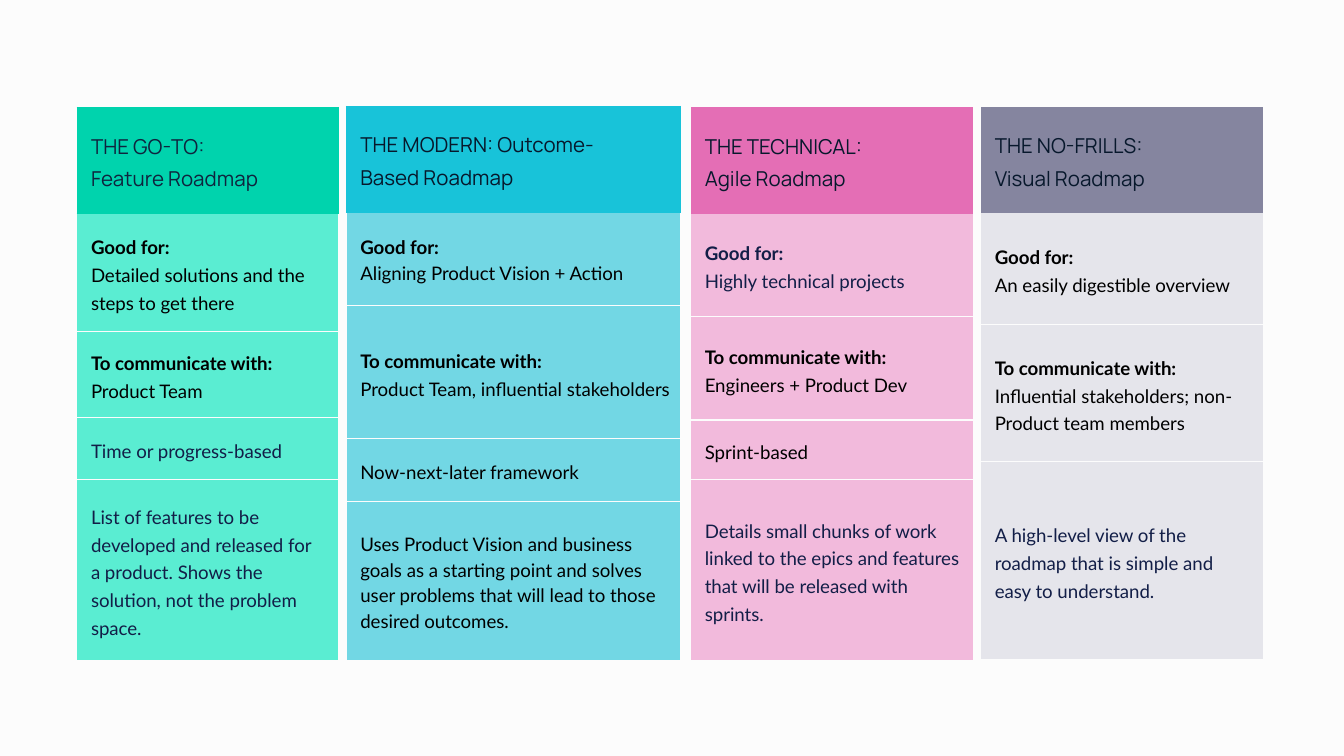
"""Build a slide comparing four kinds of product roadmap in side-by-side tables."""
import pptx
import pptx.dml.color
import pptx.enum.text
import pptx.oxml.ns
import pptx.util
from lxml import etree

Cm, Pt = pptx.util.Cm, pptx.util.Pt
RGB = pptx.dml.color.RGBColor.from_string

THEME = {
    "paper": "FCFCFC", "black": "000000", "navy": "121E47", "ink": "07182C", "slate": "0F243E",
    "green": ("00D3AD", "5AEDD2"), "cyan": ("18C3D9", "72D7E4"),
    "pink": ("E46EB5", "F2BADC"), "grey": ("85859F", "E5E5EB"),
    "head_font": "Manrope", "body_font": "Lato", "head_size": 11, "body_size": 10, "border": 0.75,
}

ROADMAPS = [
    {"left": 1.46, "top": 2.03, "width": 4.93, "colours": "green", "side_borders": True, "rows": [
        (2.01, "THE GO-TO:\nFeature Roadmap", "slate", 1.15, 0.25),
        (2.22, "Good for:\nDetailed solutions and the steps to get there", "black", 1.25, 0.25),
        (1.63, "To communicate with: |Product Team", "black", 1.25, 0.25),
        (1.17, "Time or progress-based", "navy", 1.25, 0.25),
        (3.43, "List of features to be developed and released for a product. "
               "Shows the solution, not the problem space.", "navy", 1.25, 0.3)]},
    {"left": 6.55, "top": 2.01, "width": 6.3, "colours": "cyan", "side_borders": True, "rows": [
        (2.0, "THE MODERN: Outcome-Based Roadmap", "ink", 1.15, 0.6),
        (1.77, "Good for:\nAligning Product Vision + Action", "black", 1.15, 0.5),
        (2.51, "To communicate with:\nProduct Team, influential stakeholders", "black", 1.25, 0),
        (1.19, "Now-next-later framework", "black", 1.25, 0),
        (3.01, "Uses Product Vision and business goals as a starting point and solves "
               "user problems that will lead to those desired outcomes.", "black", 1.15, 0.25)]},
    {"left": 13.06, "top": 2.03, "width": 5.32, "colours": "pink", "side_borders": False, "rows": [
        (2.01, "THE TECHNICAL:\nAgile Roadmap", "ink", 1.15, 0.25),
        (1.94, "Good for:\nHighly technical projects", "navy", 1.25, 0.25),
        (1.96, "To communicate with: |Engineers + Product Dev", "black", 1.25, 0.25),
        (1.12, "Sprint-based", "black", 1.25, 0.25),
        (3.43, "Details small chunks of work linked to the epics and features "
               "that will be released with sprints.", "navy", 1.25, 0.25)]},
    {"left": 18.54, "top": 2.03, "width": 5.32, "colours": "grey", "side_borders": False, "rows": [
        (1.99, "THE NO-FRILLS:\nVisual Roadmap", "ink", 1.15, 0.25),
        (2.11, "Good for:\nAn easily digestible overview", "black", 1.25, 0.25),
        (2.6, "To communicate with: |Influential stakeholders; non-Product team members",
         "black", 1.25, 0.25),
        (3.73, "A high-level view of the roadmap that is simple and easy to understand.",
         "navy", 1.25, 0.25)]},
]


def set_border(cell, side, colour):
    """Draw one cell border, or none if colour is None."""
    qn = pptx.oxml.ns.qn
    ln = etree.SubElement(cell._tc.get_or_add_tcPr(), qn(f"a:ln{side}"), w=str(Pt(THEME["border"])))
    if colour is None:
        etree.SubElement(ln, qn("a:noFill"))
    else:
        etree.SubElement(etree.SubElement(ln, qn("a:solidFill")), qn("a:srgbClr"), val=colour)


def write_cell(cell, text, colour, spacing, is_head):
    """Fill a cell with paragraphs; body labels ending in a colon are bold."""
    tf = cell.text_frame
    for i, line in enumerate(text.split("\n")):
        p = tf.paragraphs[0] if i == 0 else tf.add_paragraph()
        p.line_spacing = spacing
        for part in line.split("|"):
            r = p.add_run()
            r.text = part
            r.font.name = THEME["head_font" if is_head else "body_font"]
            r.font.size = Pt(THEME["head_size" if is_head else "body_size"])
            r.font.bold = not is_head and part.strip().endswith(":")
            r.font.color.rgb = RGB(THEME[colour])


prs = pptx.Presentation()
prs.slide_width, prs.slide_height = Cm(25.4), Cm(14.29)
s = prs.slides.add_slide(prs.slide_layouts[6])
s.background.fill.solid()
s.background.fill.fore_color.rgb = RGB(THEME["paper"])

for roadmap in ROADMAPS:
    rows = roadmap["rows"]
    dark, light = THEME[roadmap["colours"]]
    sp = s.shapes.add_table(len(rows), 1, Cm(roadmap["left"]), Cm(roadmap["top"]),
                            Cm(roadmap["width"]), Cm(sum(row[0] for row in rows)))
    table = sp.table
    table.first_row = table.horz_banding = False
    for i, (height, text, colour, spacing, right) in enumerate(rows):
        table.rows[i].height = Cm(height)
        cell = table.cell(i, 0)
        is_head = i == 0
        cell.vertical_anchor = pptx.enum.text.MSO_ANCHOR.MIDDLE
        cell.margin_left = Cm(0.26)
        cell.margin_top = cell.margin_bottom = Cm(0.25)
        cell.margin_right = Cm(right)
        side = dark if is_head and roadmap["side_borders"] else None
        set_border(cell, "L", side)
        set_border(cell, "R", side)
        set_border(cell, "T", dark if i < 2 else THEME["paper"])
        set_border(cell, "B", dark if is_head else THEME["paper"])
        cell.fill.solid()
        cell.fill.fore_color.rgb = RGB(dark if is_head else light)
        write_cell(cell, text, colour, spacing, is_head)

prs.save("out.pptx")
